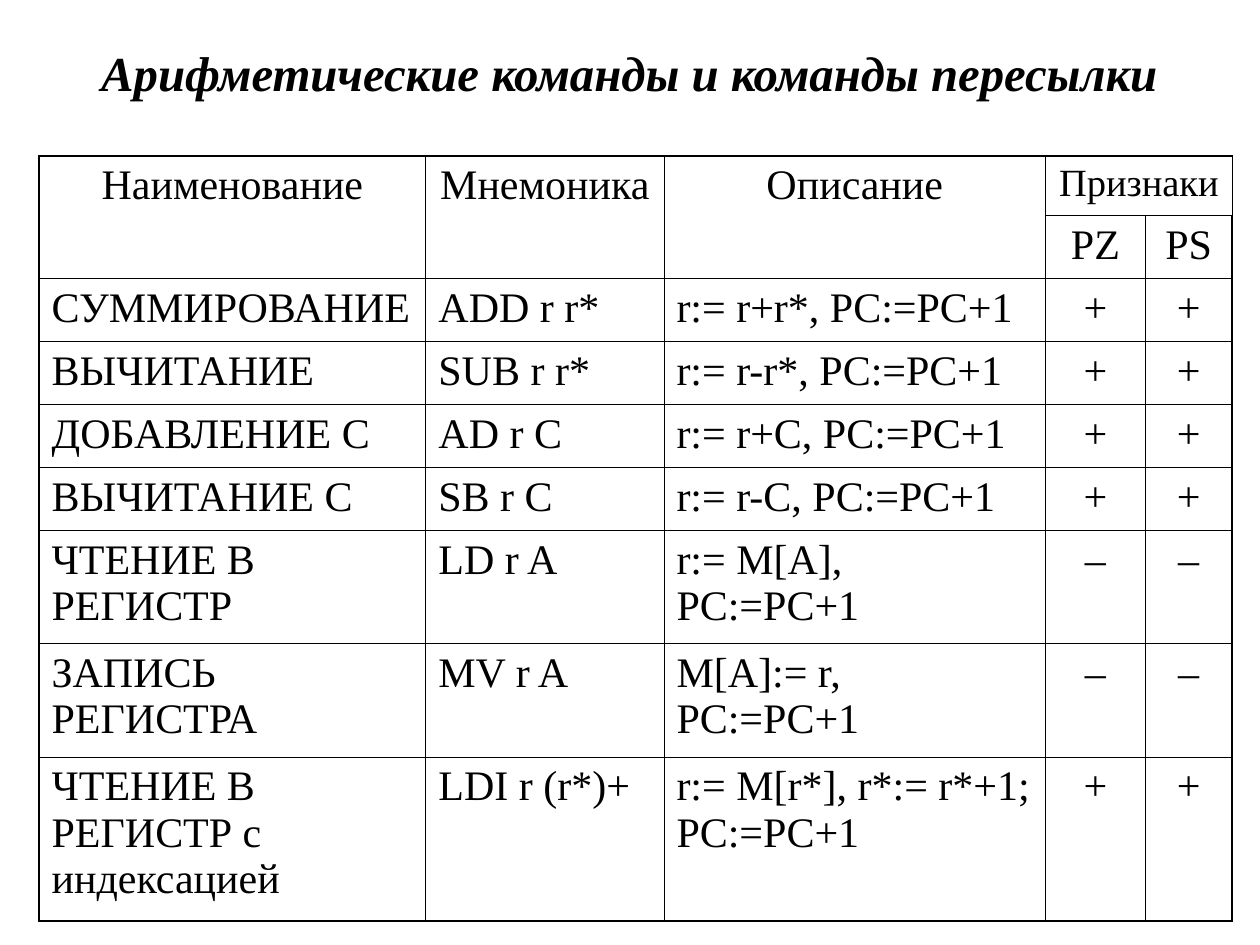
from lxml.etree import SubElement as Sub
from pptx import Presentation
from pptx.dml.color import RGBColor
from pptx.enum.text import MSO_ANCHOR as Anchor, MSO_AUTO_SIZE as Fit, PP_ALIGN as Align
from pptx.oxml.ns import qn
from pptx.util import Inches, Pt

BLACK = RGBColor(0, 0, 0)
WHITE = RGBColor(255, 255, 255)
FACE = "Times New Roman"
THIN, THICK = Pt(0.45), Pt(1.08)

COLS = [3.07, 1.89, 3.03, 0.79, 0.69]
ROWS = [0.47] + [0.5] * 5 + [0.9] * 2 + [1.3]
HEAD = 2  # header rows
FLAGS = 3  # first column of flags

CELLS = [
    ["Наименование", "Мнемоника", "Описание", "Признаки", ""],
    ["", "", "", "PZ", "PS"],
    ["СУММИРОВАНИЕ", "ADD r r*", "r:= r+r*, PC:=PC+1", "+", "+"],
    ["ВЫЧИТАНИЕ", "SUB r r*", "r:= r-r*, PC:=PC+1", "+", "+"],
    ["ДОБАВЛЕНИЕ С", "AD r C", "r:= r+C, PC:=PC+1", "+", "+"],
    ["ВЫЧИТАНИЕ С", "SB r C", "r:= r-C, PC:=PC+1", "+", "+"],
    ["ЧТЕНИЕ В РЕГИСТР", "LD r A", "r:= M[A], PC:=PC+1", "–", "–"],
    ["ЗАПИСЬ РЕГИСТРА", "MV r A", "M[A]:= r, PC:=PC+1", "–", "–"],
    ["ЧТЕНИЕ В РЕГИСТР с индексацией", "LDI r (r*)+",
     "r:= M[r*], r*:= r*+1;\nPC:=PC+1", "+", "+"],
]


def style(par, size, align, bold=False, italic=False):
    par.alignment = align
    font = par.font
    font.name, font.size = FACE, Pt(size)
    font.bold, font.italic = bold, italic
    font.color.rgb = BLACK


def add_title(slide, text):
    title = slide.shapes.title
    title.left, title.top = Inches(0.27), Inches(0.04)
    title.width, title.height = Inches(9.45), Inches(1.07)
    frame = title.text_frame
    frame.text = text
    frame.word_wrap, frame.auto_size = True, Fit.NONE
    frame.vertical_anchor = Anchor.MIDDLE
    style(frame.paragraphs[0], 27.9, Align.CENTER, True, True)


def set_edges(cell, row, col):
    """Draw a thick line on the table's outside and thin lines within."""
    outer = {"L": col == 0, "R": col == len(COLS) - 1,
             "T": row == 0, "B": row == len(ROWS) - 1}
    props = cell._tc.get_or_add_tcPr()
    for side, thick in outer.items():
        line = Sub(props, qn("a:ln" + side), w=str(THICK if thick else THIN))
        fill = Sub(line, qn("a:solidFill"))
        Sub(fill, qn("a:srgbClr"), val=str(BLACK))


def fill_cell(cell, row, col):
    set_edges(cell, row, col)
    cell.fill.background()
    cell.margin_left = cell.margin_right = Inches(0.1)
    cell.margin_top = cell.margin_bottom = Inches(0.05)
    cell.text = CELLS[row][col]
    centred = row < HEAD or col >= FLAGS
    size = 22 if (row, col) == (0, FLAGS) else 24
    for par in cell.text_frame.paragraphs:
        style(par, size, Align.CENTER if centred else Align.LEFT)


def add_grid(slide):
    grid = slide.shapes.add_table(
        len(ROWS), len(COLS), Inches(0.31), Inches(1.24),
        Inches(sum(COLS)), Inches(sum(ROWS))).table
    grid.first_row = grid.horz_banding = False
    for col, width in zip(grid.columns, COLS):
        col.width = Inches(width)
    for row, height in zip(grid.rows, ROWS):
        row.height = Inches(height)
    for row in range(len(ROWS)):
        for col in range(len(COLS)):
            fill_cell(grid.cell(row, col), row, col)
    # Header spans
    for col in range(FLAGS):
        grid.cell(0, col).merge(grid.cell(HEAD - 1, col))
    grid.cell(0, FLAGS).merge(grid.cell(0, len(COLS) - 1))


def main():
    deck = Presentation()
    deck.slide_width, deck.slide_height = Inches(10), Inches(7.5)
    slide = deck.slides.add_slide(deck.slide_layouts[5])
    back = slide.background.fill
    back.solid()
    back.fore_color.rgb = WHITE
    add_title(slide, "Арифметические команды и команды пересылки")
    add_grid(slide)
    deck.save("out.pptx")


if __name__ == "__main__":
    main()
